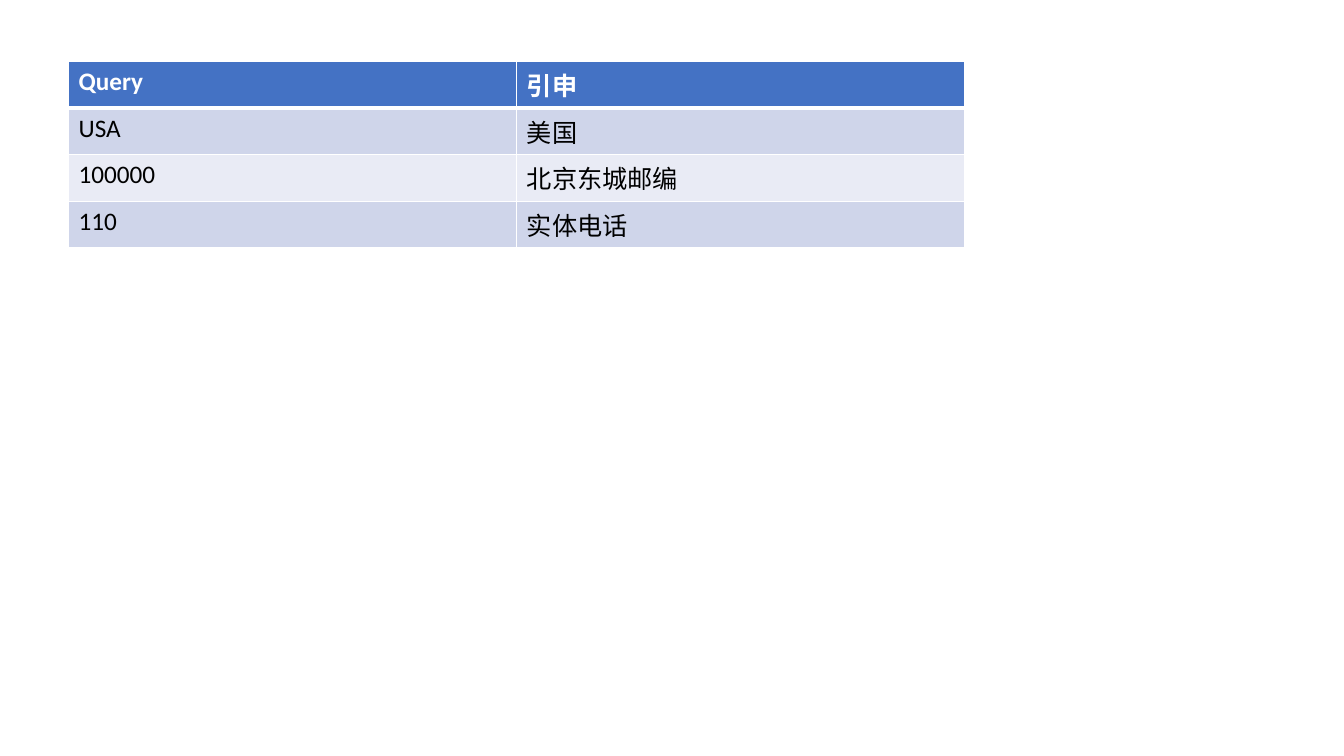
from lxml.etree import SubElement
from pptx import Presentation
from pptx.dml.color import RGBColor
from pptx.oxml.ns import qn
from pptx.util import Inches, Pt

QUERIES = [
    ("Query", "引申"),
    ("USA", "美国"),
    ("100000", "北京东城邮编"),
    ("110", "实体电话"),
]
HEADER_FILL = "4472C4"
BAND_FILLS = ("E9EBF5", "CFD5EA")
WHITE, BLACK = "FFFFFF", "000000"


def colour(hex_code):
    """Return the colour for a hex string."""
    return RGBColor.from_string(hex_code)


def add_borders(cell, top, bottom):
    """Draw white cell borders, with top and bottom widths in points."""
    properties = cell._tc.get_or_add_tcPr()
    for side, width in (("L", 1), ("R", 1), ("T", top), ("B", bottom)):
        line = SubElement(properties, qn(f"a:ln{side}"), w=str(Pt(width)))
        solid = SubElement(line, qn("a:solidFill"))
        SubElement(solid, qn("a:srgbClr"), val=WHITE)


def fill_cell(cell, text, row):
    """Write and format one cell according to its row."""
    is_header = row == 0
    add_borders(cell, top=3 if row == 1 else 1, bottom=3 if is_header else 1)
    cell.fill.solid()
    cell.fill.fore_color.rgb = colour(HEADER_FILL if is_header else BAND_FILLS[row % 2])
    cell.text_frame.text = text
    font = cell.text_frame.paragraphs[0].runs[0].font
    font.name = "Calibri"
    font.size = Pt(18)
    font.bold = is_header
    font.color.rgb = colour(WHITE if is_header else BLACK)


def add_query_table(slide):
    """Add the table of queries and their extended meanings."""
    table = slide.shapes.add_table(
        len(QUERIES), len(QUERIES[0]),
        Inches(0.68), Inches(0.61), Inches(8.89), Inches(1.62),
    ).table
    for row, texts in enumerate(QUERIES):
        for column, text in enumerate(texts):
            fill_cell(table.cell(row, column), text, row)


def main():
    """Build the slide and save it."""
    deck = Presentation()
    deck.slide_width = Inches(13.33)
    deck.slide_height = Inches(7.5)
    slide = deck.slides.add_slide(deck.slide_layouts[6])
    add_query_table(slide)
    deck.save("out.pptx")


if __name__ == "__main__":
    main()
